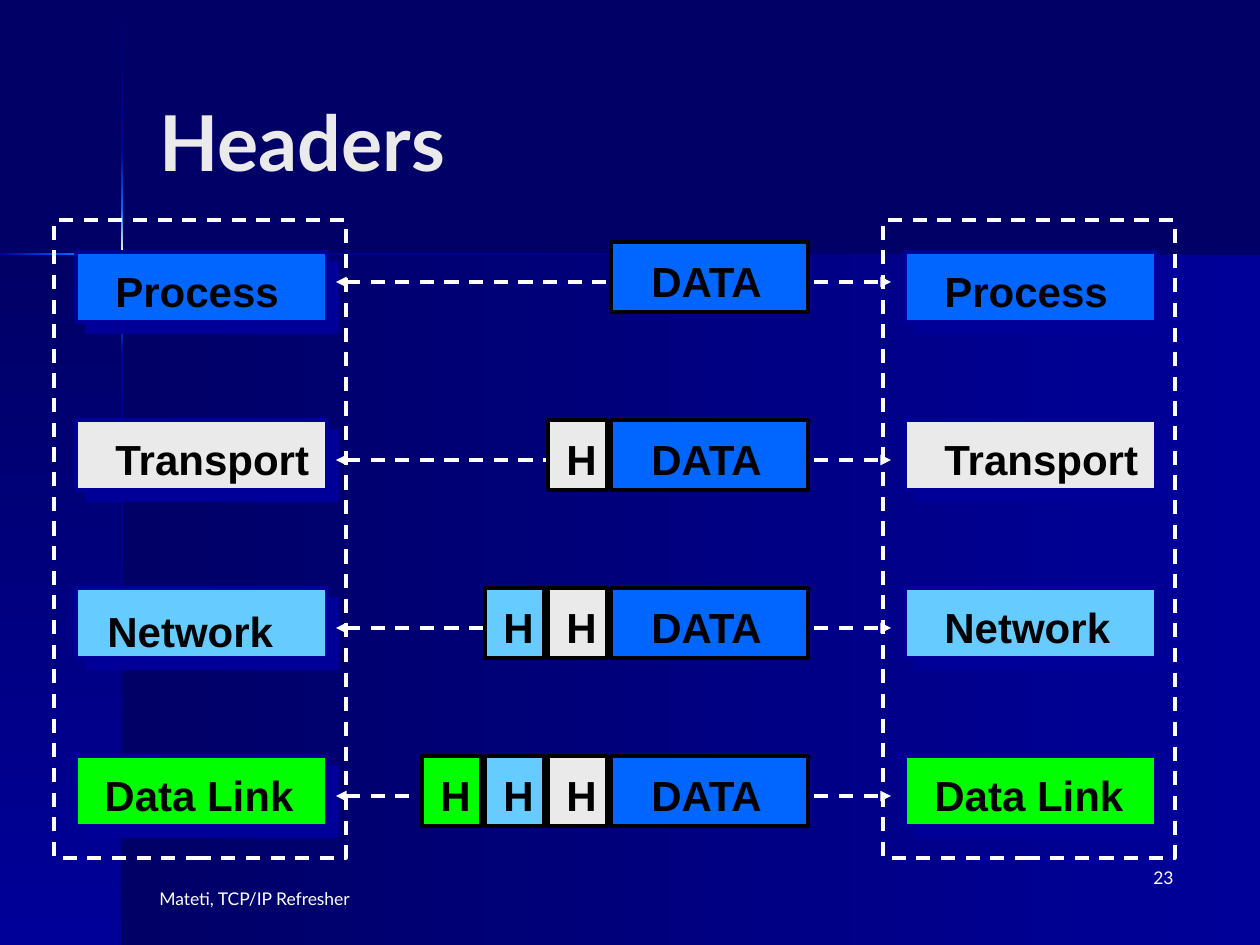
"""Build the slide on headers added by each network layer."""
from copy import deepcopy
from lxml import etree
from pptx import Presentation
from pptx import util as u
from pptx.dml.color import RGBColor
from pptx.enum import dml, shapes, text
from pptx.oxml.ns import qn

SCALE = 914400 / 126
HUES = {"night": "000066", "navy": "000099", "blue": "0066FF", "glow": "FFFFCC",
        "grey": "EAEAEA", "sky": "66CCFF", "green": "00FF00",
        "white": "FFFFFF", "black": "000000"}
BOLD = {"name": "Arial", "size": u.Pt(24), "bold": True}
HEAD = {"name": "Lato", "size": u.Pt(44), "bold": True}
FOOT = {"name": "Lato", "size": u.Pt(10)}
LAYERS = [("Process", "blue"), ("Transport", "grey"),
          ("Network", "sky"), ("Data Link", "green")]
PANELS = [
    ((122, 255, 1138, 690), 180, ("navy", "night")),
    ((0, 255, 122, 690), 90, ("night", "navy")),
    ((121, 1, 2, 151), 90, ("night", "navy")),
    ((121, 355, 2, 590), 90, ("navy", "night")),
    ((223, 253, 1037, 2), 180, ("night", "navy")),
    ((121, 300, 2, 55), 90, ("blue", "navy")),
    ((121, 152, 2, 56), 90, ("navy", "blue")),
    ((121, 208, 2, 92), 90, ("blue", "glow", "blue")),
    ((0, 253, 76, 2), 180, ("blue", "navy")),
    ((168, 253, 55, 2), 180, ("navy", "blue")),
    ((76, 253, 92, 2), 180, ("blue", "glow", "blue")),
]
SIDES = [(76, 54, (27, 27, 19, 16), (7, 7, 11, 7)),
         (905, 883, (27, 27, 27, 17), (7, 7, 7, 7))]


def px(*vals):
    """Turn pixel lengths into EMU."""
    return [u.Emu(round(v * SCALE)) for v in vals]


def rgb(name):
    """Look up a colour by name."""
    return RGBColor.from_string(HUES[name])


def stroke(line, hue, dash=False):
    """Give a line its colour, width and dash."""
    line.color.rgb = rgb(hue)
    line.width = u.Pt(2)
    if dash:
        line.dash_style = dml.MSO_LINE.DASH


def rect(slide, area, fill=None, edge=None, dash=False):
    """Add a plain rectangle."""
    box = slide.shapes.add_shape(shapes.MSO_SHAPE.RECTANGLE, *px(*area))
    box.shadow.inherit = False
    if fill:
        box.fill.solid()
        box.fill.fore_color.rgb = rgb(fill)
    else:
        box.fill.background()
    if edge:
        stroke(box.line, edge, dash)
    else:
        box.line.fill.background()
    return box


def panel(slide, area, angle, hues):
    """Add a rectangle with an even gradient."""
    box = rect(slide, area)
    box.fill.gradient()
    box.fill.gradient_angle = 360 - angle
    stops = box._element.spPr.find(".//" + qn("a:gsLst"))
    while len(stops) < len(hues):
        stops.append(deepcopy(stops[-1]))
    for i, (stop, hue) in enumerate(zip(box.fill.gradient_stops, hues)):
        stop.position = i / (len(hues) - 1)
        stop.color.rgb = rgb(hue)


def shade(box):
    """Add a hard navy shadow to a box."""
    effects = box._element.spPr.find(qn("a:effectLst"))
    cast = etree.SubElement(effects, qn("a:outerShdw"), blurRad="0",
                            dist="107950", dir="2700000", algn="ctr", rotWithShape="0")
    etree.SubElement(cast, qn("a:srgbClr"), val=HUES["navy"])


def label(slide, area, words, style, hue="black", align="LEFT", anchor="TOP", wrap=False):
    """Add a line of text."""
    frame = slide.shapes.add_textbox(*px(*area)).text_frame
    frame.word_wrap = wrap
    frame.vertical_anchor = getattr(text.MSO_ANCHOR, anchor)
    para = frame.paragraphs[0]
    para.text = words
    para.alignment = getattr(text.PP_ALIGN, align)
    for key, val in style.items():
        setattr(para.font, key, val)
    para.font.color.rgb = rgb(hue)


def arrow(slide, left, right, y):
    """Add a dashed line with a head at each end."""
    link = slide.shapes.add_connector(shapes.MSO_CONNECTOR.STRAIGHT, *px(left, y, right, y))
    stroke(link.line, "white", True)
    for end in ("a:headEnd", "a:tailEnd"):
        etree.SubElement(link.line._get_or_add_ln(), qn(end), type="triangle")
    etree.SubElement(link._element.spPr, qn("a:effectLst"))


def stack(slide, left, frame, shifts, drops):
    """Add one host with its four layers."""
    for i, (name, hue) in enumerate(LAYERS):
        top = 252 + 168 * i
        shade(rect(slide, (left, top, 251, 70), hue, "navy"))
        label(slide, (left + shifts[i], top + drops[i], 220, 63), name, BOLD)
    rect(slide, (frame, 220, 292, 638), None, "white", True)


def packet(slide, row):
    """Add the data unit of one layer with its headers."""
    top = 252 + 168 * row if row else 242
    arrow(slide, 336, 891, top + 40)
    rect(slide, (611, top, 197, 70), "blue", "black")
    label(slide, (639, top + 7, 141, 63), "DATA", BOLD)
    for i in range(1, row + 1):
        left = 611 - 63 * i
        rect(slide, (left, top, 59, 70), LAYERS[i][1], "black")
        label(slide, (left + 6, top + 7, 55, 63), "H", BOLD)


def main():
    """Build and save the slide."""
    deck = Presentation()
    deck.slide_width, deck.slide_height = px(1260, 945)
    slide = deck.slides.add_slide(deck.slide_layouts[6])
    slide.background.fill.solid()
    slide.background.fill.fore_color.rgb = rgb("night")
    for area, angle, hues in PANELS:
        panel(slide, area, angle, hues)
    label(slide, (147, 42, 1040, 198), "Headers", HEAD, "grey", anchor="MIDDLE", wrap=True)
    for side in SIDES:
        stack(slide, *side)
    for row in range(len(LAYERS)):
        packet(slide, row)
    label(slide, (147, 882, 336, 63), "Mateti, TCP/IP Refresher", FOOT, "white", wrap=True)
    label(slide, (924, 861, 262, 63), "23", FOOT, "white", "RIGHT", wrap=True)
    deck.save("out.pptx")


if __name__ == "__main__":
    main()
